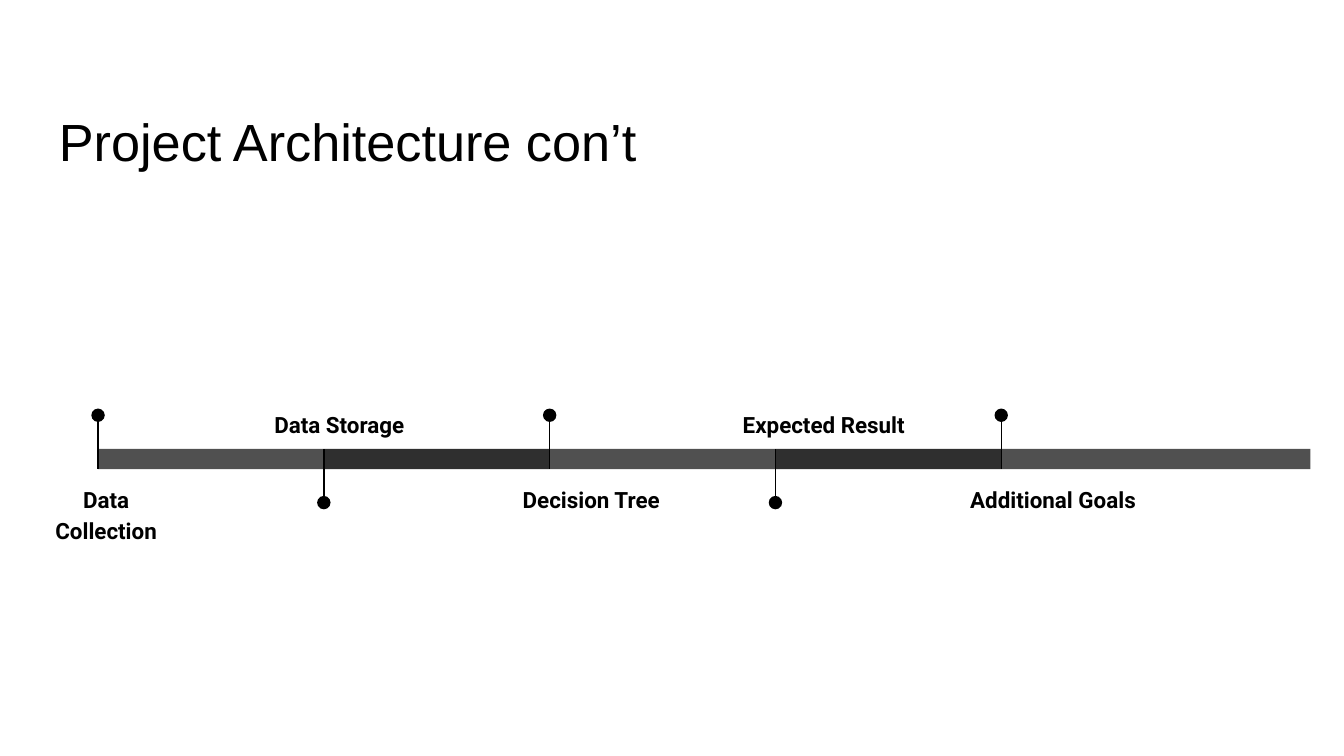
import pptx
import pptx.util
import pptx.dml.color
import pptx.enum.shapes
import pptx.enum.text
import pptx.oxml.ns
import lxml.etree

TITLE = "Project Architecture con’t"
STEPS = [
    ("Data Collection", 0.25, 1.08),
    ("Data Storage", 1.89, 1.27),
    ("Decision Tree", 3.73, 1.34),
    ("Expected Result", 5.36, 1.54),
    ("Additional Goals", 7.04, 1.59),
]
COLORS = {"ink": "000000", "odd": "505050", "even": "2F2F2F"}

WIDE = 10
HIGH = WIDE * 9 / 16
LEFT, STEP, LAST = 0.73, 1.68, 2.3
TOP, THICK = 3.34, 0.15
BASE = TOP + THICK
STEM, DOT, LABEL = 0.4, 0.1, 0.41

inch = pptx.util.Inches
kinds = pptx.enum.shapes.MSO_SHAPE


def color(name):
    return pptx.dml.color.RGBColor.from_string(COLORS[name])


def add_text(shapes, text, box, font, size, bold=False):
    frame = shapes.add_textbox(*map(inch, box)).text_frame
    frame.word_wrap = True
    frame.margin_left = frame.margin_right = inch(0.1)
    frame.margin_top = frame.margin_bottom = inch(0.1)
    para = frame.paragraphs[0]
    run = para.add_run()
    run.text = text
    run.font.name = font
    run.font.size = pptx.util.Pt(size)
    run.font.bold = bold
    run.font.color.rgb = color("ink")
    return para


def add_solid(shapes, kind, box, fill):
    shape = shapes.add_shape(kind, *map(inch, box))
    shape.shadow.inherit = False
    shape.fill.solid()
    shape.fill.fore_color.rgb = color(fill)
    shape.line.fill.background()


def add_stem(shapes, x, start, end):
    stem = shapes.add_connector(
        pptx.enum.shapes.MSO_CONNECTOR.STRAIGHT,
        inch(x), inch(start), inch(x), inch(end))
    stem.line.color.rgb = color("ink")
    stem.line.width = pptx.util.Pt(0.75)
    lxml.etree.SubElement(stem._element.spPr, pptx.oxml.ns.qn("a:effectLst"))


def add_step(slide, index, text, left, width):
    shapes = slide.shapes.add_group_shape().shapes
    x = LEFT + index * STEP
    below = index % 2 == 1
    span = LAST if index == len(STEPS) - 1 else STEP
    add_solid(shapes, kinds.RECTANGLE, (x, TOP, span, THICK),
              "even" if below else "odd")
    if below:
        start, end, label = TOP + STEM, TOP, TOP - LABEL
    else:
        start, end, label = BASE - STEM, BASE, BASE
    add_stem(shapes, x, start, end)
    add_solid(shapes, kinds.OVAL,
              (x - DOT / 2, start - DOT / 2, DOT, DOT), "ink")
    para = add_text(shapes, text, (left, label, width, LABEL),
                    "Roboto", 12, True)
    para.alignment = pptx.enum.text.PP_ALIGN.CENTER
    para.line_spacing = 1.15


def main():
    deck = pptx.Presentation()
    deck.slide_width, deck.slide_height = inch(WIDE), inch(HIGH)
    slide = deck.slides.add_slide(deck.slide_layouts[6])
    add_text(slide.shapes, TITLE, (0.34, 0.71, 9.32, 0.63), "Arial", 28)
    for index, step in enumerate(STEPS):
        add_step(slide, index, *step)
    deck.save("out.pptx")


if __name__ == "__main__":
    main()
